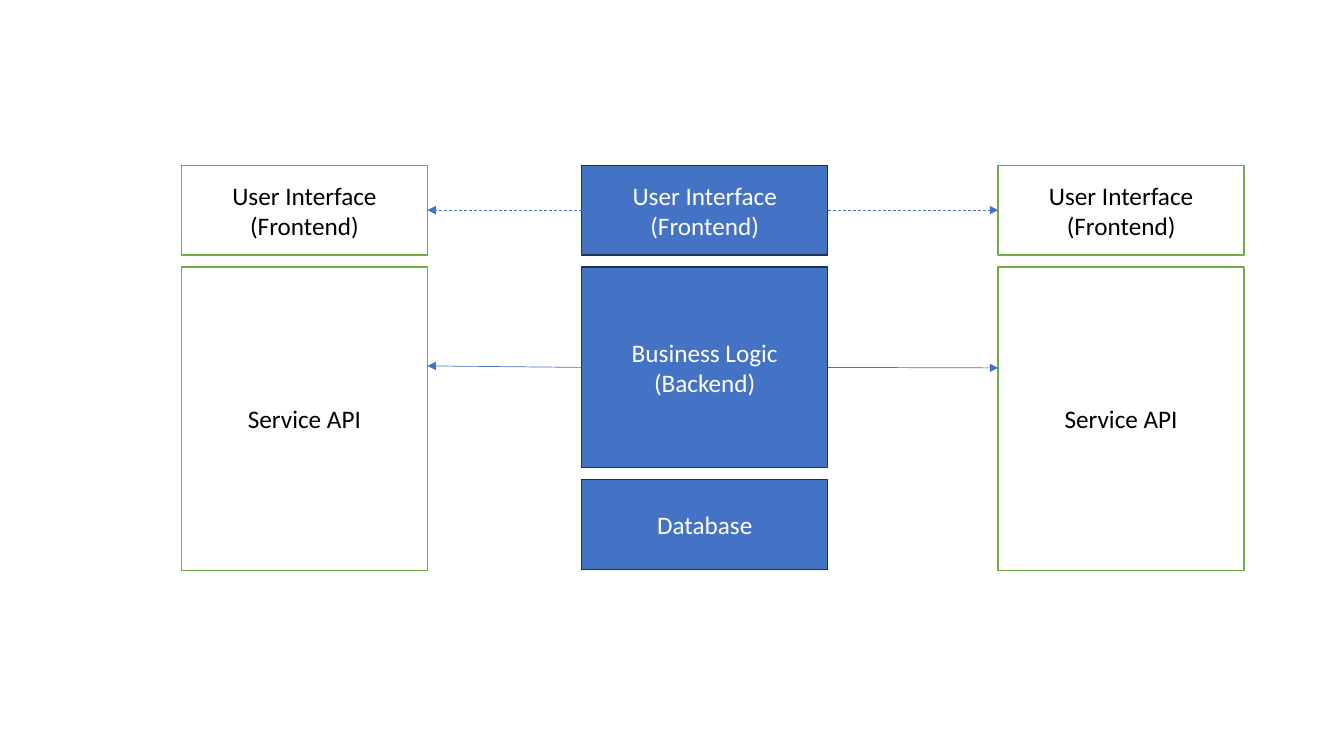
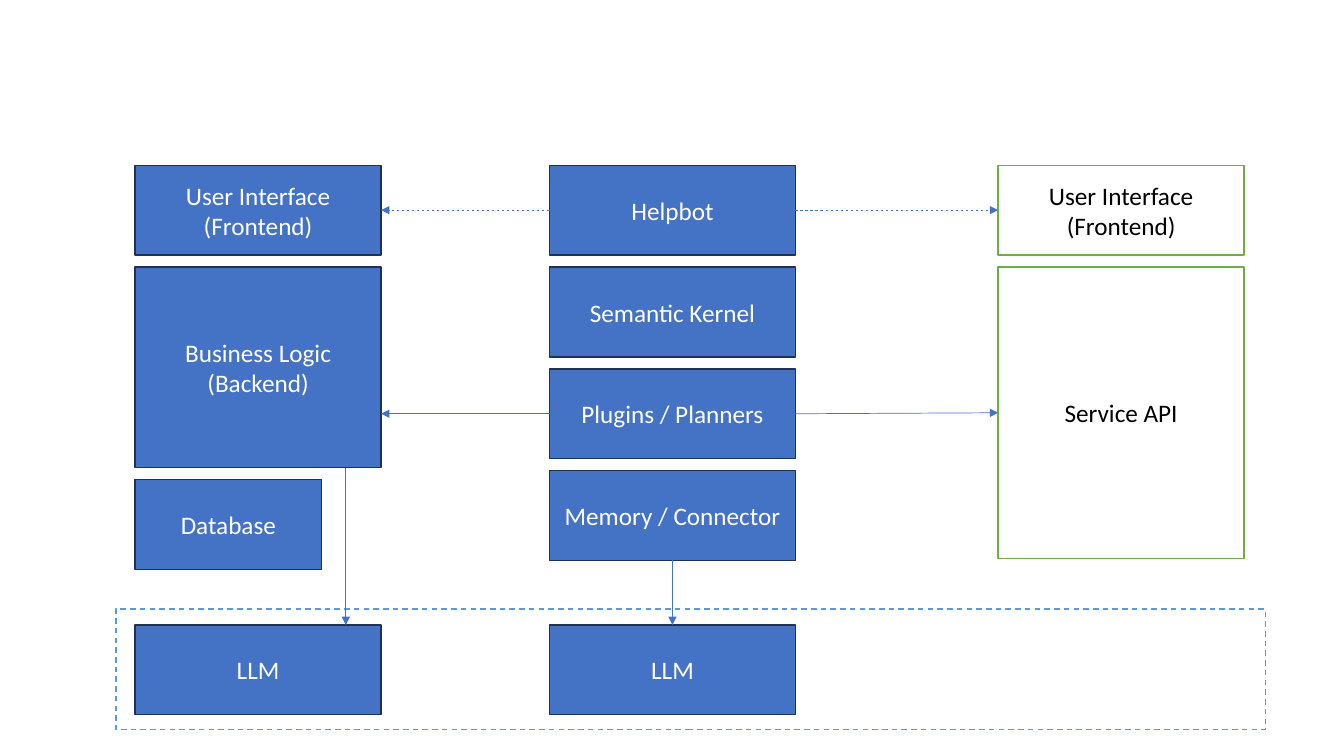
from dataclasses import dataclass
from typing import NamedTuple

from lxml.etree import SubElement
from pptx import Presentation
from pptx.dml.color import RGBColor as Rgb
from pptx.enum.dml import MSO_LINE as Dash
from pptx.enum.shapes import MSO_CONNECTOR as Connector, MSO_SHAPE as Shape
from pptx.enum.text import MSO_ANCHOR as Anchor, PP_ALIGN as Align
from pptx.oxml.ns import qn
from pptx.util import Inches, Pt


class BoxStyle(NamedTuple):
    fill: Rgb
    line: Rgb
    text: Rgb


class Side(NamedTuple):
    box: object
    site: int


@dataclass(frozen=True)
class Theme:
    white = Rgb.from_string("FFFFFF")
    black = Rgb.from_string("000000")
    blue = Rgb.from_string("4472C4")
    navy = Rgb.from_string("1E3256")
    green = Rgb.from_string("70AD47")
    sky = Rgb.from_string("5B9BD5")
    own = BoxStyle(blue, navy, white)
    external = BoxStyle(white, green, black)
    zone = BoxStyle(white, sky, black)
    font = "Calibri"
    text_size = Pt(18)
    box_line = Pt(1)
    arrow_line = Pt(0.5)


THEME = Theme()
TOP, LEFT, BOTTOM, RIGHT = range(4)

# Shared grid
STACK_TOP = Inches(1.64)
BOX_WIDTH = Inches(2.44)
ROW = Inches(0.89)
TALL = Inches(1.99)
GAP = Inches(0.12)
EXTERNAL_LEFT = Inches(9.9)

FRONTEND = ("User Interface", "(Frontend)")
BACKEND = ("Business Logic", "(Backend)")
DATABASE = ("Database",)
SERVICE = ("Service API",)
LLM = ("LLM",)


def add_box(slide, left, top, width, height, lines, style, dashed=False):
    box = slide.shapes.add_shape(Shape.RECTANGLE, left, top, width, height)
    box.shadow.inherit = False
    box.fill.solid()
    box.fill.fore_color.rgb = style.fill
    box.line.color.rgb = style.line
    box.line.width = THEME.box_line
    if dashed:
        box.line.dash_style = Dash.DASH
    frame = box.text_frame
    frame.word_wrap = True
    frame.vertical_anchor = Anchor.MIDDLE
    for index, line in enumerate(lines):
        paragraph = frame.add_paragraph() if index else frame.paragraphs[0]
        paragraph.alignment = Align.CENTER
        run = paragraph.add_run()
        run.text = line
        run.font.name = THEME.font
        run.font.size = THEME.text_size
        run.font.color.rgb = style.text
    return box


def add_stack(slide, left, layers, style):
    """Stack boxes downwards; each layer is (lines, width, height)."""
    boxes, top = [], STACK_TOP
    for lines, width, height in layers:
        boxes.append(add_box(slide, left, top, width, height, lines, style))
        top += height + GAP
    return boxes


def add_external(slide, left, service_height):
    layers = [(FRONTEND, BOX_WIDTH, ROW), (SERVICE, BOX_WIDTH, service_height)]
    return add_stack(slide, left, layers, THEME.external)


def add_application(slide, left, database_width):
    layers = [(FRONTEND, BOX_WIDTH, ROW), (BACKEND, BOX_WIDTH, TALL),
              (DATABASE, database_width, ROW)]
    return add_stack(slide, left, layers, THEME.own)


def add_arrow(slide, start, end, dashed=False):
    """Draw an arrow; each end is the Side of a box or an (x, y) point."""
    points = [(0, 0) if isinstance(p, Side) else p for p in (start, end)]
    arrow = slide.shapes.add_connector(Connector.STRAIGHT, *points[0], *points[1])
    if isinstance(start, Side):
        arrow.begin_connect(*start)
    if isinstance(end, Side):
        arrow.end_connect(*end)
    arrow.line.color.rgb = THEME.blue
    arrow.line.width = THEME.arrow_line
    if dashed:
        arrow.line.dash_style = Dash.DASH
    SubElement(arrow.line._get_or_add_ln(), qn("a:tailEnd"), type="triangle")
    SubElement(arrow._element.spPr, qn("a:effectLst"))


def link_frontends(slide, middle, left, right):
    add_arrow(slide, Side(middle, LEFT), Side(left, RIGHT), dashed=True)
    add_arrow(slide, Side(middle, RIGHT), Side(right, LEFT), dashed=True)


def build_integration_slide(slide):
    # Application between two external services
    frontend, backend, _ = add_application(slide, Inches(5.77), BOX_WIDTH)
    left_ui, left_api = add_external(slide, Inches(1.8), Inches(3.01))
    right_ui, right_api = add_external(slide, EXTERNAL_LEFT, Inches(3.01))

    # Calls from the backend and the frontend
    add_arrow(slide, Side(backend, RIGHT),
              (right_api.left, right_api.top + Inches(1)))
    add_arrow(slide, Side(backend, LEFT),
              (left_api.left + left_api.width, left_api.top + Inches(0.98)))
    link_frontends(slide, frontend, left_ui, right_ui)


def build_assistant_slide(slide):
    app_left, assistant_left = Inches(1.34), Inches(5.45)

    # Model zone
    add_box(slide, Inches(1.15), Inches(6.04), Inches(11.4), Inches(1.2),
            (), THEME.zone, dashed=True)
    app_llm, assistant_llm = [
        add_box(slide, left, Inches(6.2), BOX_WIDTH, ROW, LLM, THEME.own)
        for left in (app_left, assistant_left)]

    # Three stacks
    service_ui, service_api = add_external(slide, EXTERNAL_LEFT, Inches(2.89))
    frontend, backend, _ = add_application(slide, app_left, Inches(1.85))
    names = ("Helpbot", "Semantic Kernel", "Plugins / Planners",
             "Memory / Connector")
    assistant, _, plugins, memory = add_stack(
        slide, assistant_left, [((name,), BOX_WIDTH, ROW) for name in names],
        THEME.own)

    # Calls between the stacks
    add_arrow(slide, Side(plugins, LEFT),
              (backend.left + backend.width, plugins.top + plugins.height // 2))
    add_arrow(slide, Side(plugins, RIGHT), Side(service_api, LEFT))
    link_frontends(slide, assistant, frontend, service_ui)

    # Calls down to the models
    add_arrow(slide, Side(memory, BOTTOM), Side(assistant_llm, TOP))
    call_x = backend.left + Inches(2.09)
    add_arrow(slide, (call_x, backend.top + backend.height),
              (call_x, app_llm.top))


def main():
    deck = Presentation()
    deck.slide_width, deck.slide_height = Inches(13.33), Inches(7.5)
    for build in (build_integration_slide, build_assistant_slide):
        build(deck.slides.add_slide(deck.slide_layouts[6]))
    deck.save("out.pptx")


if __name__ == "__main__":
    main()
